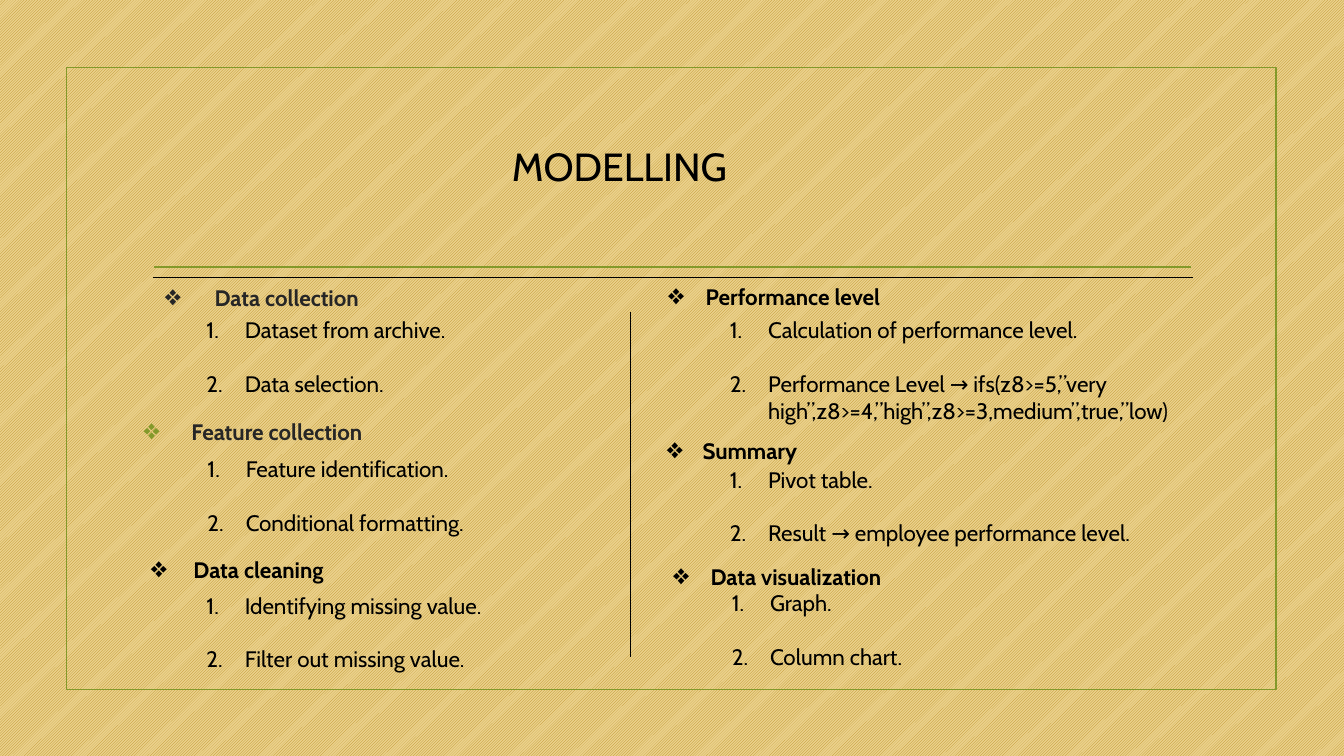
from lxml import etree
from pptx import Presentation
from pptx.dml.color import RGBColor
from pptx.enum.dml import MSO_PATTERN
from pptx.enum.shapes import MSO_CONNECTOR, MSO_SHAPE
from pptx.oxml.ns import qn
from pptx.util import Inches, Pt

STRAIGHT = MSO_CONNECTOR.STRAIGHT
RECTANGLE = MSO_SHAPE.RECTANGLE
DIAGONAL = MSO_PATTERN.LIGHT_UPWARD_DIAGONAL

BLACK = RGBColor(0x00, 0x00, 0x00)
CHARCOAL = RGBColor(0x26, 0x26, 0x26)
GREEN = RGBColor(0x83, 0x99, 0x2A)
OCHRE = RGBColor(0xB7, 0x8E, 0x20)
SAND = RGBColor(0xEB, 0xD1, 0x8C)
FONT = "Cabin"

# Content: heading, its left, top, indent, colour and bullet colour,
# then the left and top of its numbered steps
TITLE = "MODELLING"
SECTIONS = [
    ("Data collection", 1.53, 2.77, 0.5, CHARCOAL, CHARCOAL, 1.95, 3.09,
     ["Dataset from archive.", "Data selection."]),
    ("Feature collection", 1.32, 4.1, 0.48, CHARCOAL, GREEN, 1.96, 4.47,
     ["Feature identification.", "Conditional formatting."]),
    ("Data cleaning", 1.39, 5.47, 0.43, BLACK, BLACK, 1.95, 5.82,
     ["Identifying missing value.", "Filter out missing value."]),
    ("Performance level", 6.52, 2.76, 0.38, BLACK, BLACK, 7.14, 3.09,
     ["Calculation of performance level.",
      "Performance Level → ifs(z8>=5,”very high”,z8>=4,”high”,z8>=3,medium”,true,”low)"]),
    ("Summary", 6.51, 4.29, 0.36, BLACK, BLACK, 7.14, 4.57,
     ["Pivot table.", "Result → employee performance level."]),
    ("Data visualization", 6.57, 5.54, 0.38, BLACK, BLACK, 7.16, 5.8,
     ["Graph.", "Column chart."]),
]
# Lines: start x, start y, end x, end y, colour, width
LINES = [
    (1.53, 2.65, 11.81, 2.65, GREEN, 1.25),
    (1.52, 2.75, 11.83, 2.75, BLACK, 0.75),
    (6.25, 3.1, 6.25, 6.52, BLACK, 0.75),
]
HEADING_WIDTH, HEADING_HEIGHT = 4, 0.37
STEP_WIDTHS = {"left": 4.2, "right": 5.6}
STEP_HEIGHT, STEP_INDENT, STEP_GAP = 0.91, 0.38, 19

deck = Presentation()
deck.slide_width, deck.slide_height = Inches(13.33), Inches(7.5)
page = deck.slides.add_slide(deck.slide_layouts[6])


def add_bullet(para, indent, colour, numbered):
    """Give a paragraph a hanging number or diamond."""
    props = para._p.get_or_add_pPr()
    props.set("marL", str(Inches(indent)))
    props.set("indent", str(-Inches(indent)))
    holder = etree.SubElement(props, qn("a:buClr"))
    etree.SubElement(holder, qn("a:srgbClr"), val=str(colour))
    if numbered:
        etree.SubElement(props, qn("a:buFont"), typeface=FONT)
        etree.SubElement(props, qn("a:buAutoNum"), type="arabicPeriod")
    else:
        etree.SubElement(props, qn("a:buFont"), typeface="Times New Roman")
        etree.SubElement(props, qn("a:buChar"), char="❖")


def add_text(lines, left, top, width, height, size=16, bold=False, colour=BLACK,
             indent=0, bullet_colour=BLACK, numbered=False, gap=0):
    box = page.shapes.add_textbox(Inches(left), Inches(top), Inches(width), Inches(height))
    frame = box.text_frame
    frame.word_wrap = True
    for index, line in enumerate(lines):
        para = frame.add_paragraph() if index else frame.paragraphs[0]
        if index:
            para.space_before = Pt(gap)
        if indent:
            add_bullet(para, indent, bullet_colour, numbered)
        span = para.add_run()
        span.text = line
        span.font.name = FONT
        span.font.size = Pt(size)
        span.font.bold = bold
        span.font.color.rgb = colour


# Background and frame
backdrop = page.background.fill
backdrop.patterned()
backdrop.pattern = DIAGONAL
backdrop.fore_color.rgb = OCHRE
backdrop.back_color.rgb = SAND

border = page.shapes.add_shape(RECTANGLE, Inches(0.66), Inches(0.67), Inches(12), Inches(6.17))
border.shadow.inherit = False
border.fill.background()
border.line.color.rgb = GREEN
border.line.width = Pt(1.25)

# Rules and column divider
for x1, y1, x2, y2, colour, weight in LINES:
    rule = page.shapes.add_connector(STRAIGHT, Inches(x1), Inches(y1), Inches(x2), Inches(y2))
    rule.line.color.rgb = colour
    rule.line.width = Pt(weight)
    etree.SubElement(rule._element.spPr, qn("a:effectLst"))

# Title and sections
add_text([TITLE], 4.98, 1.36, 3.83, 0.57, size=28)
for (heading, left, top, indent, colour, bullet_colour,
     step_left, step_top, steps) in SECTIONS:
    add_text([heading], left, top, HEADING_WIDTH, HEADING_HEIGHT, bold=True,
             colour=colour, indent=indent, bullet_colour=bullet_colour)
    column = "left" if left < 6 else "right"
    add_text(steps, step_left, step_top, STEP_WIDTHS[column], STEP_HEIGHT,
             indent=STEP_INDENT, numbered=True, gap=STEP_GAP)

deck.save("out.pptx")
